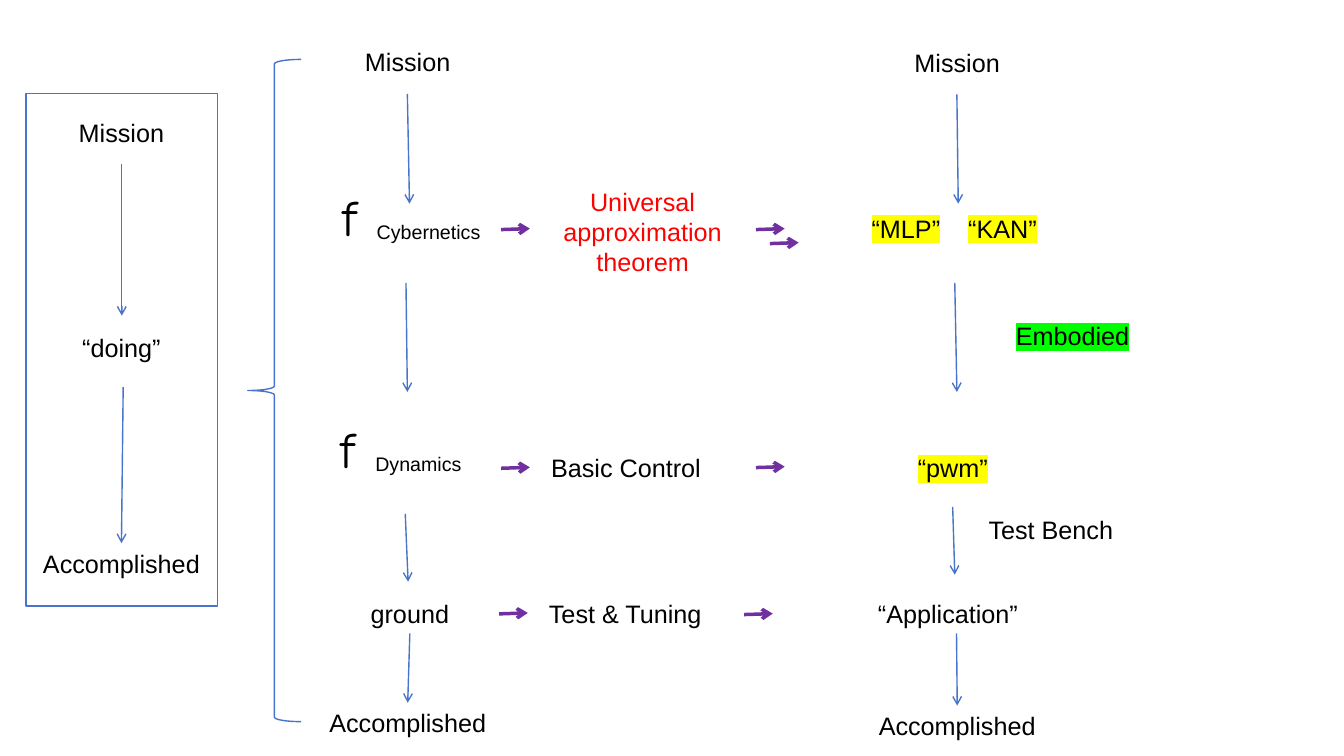
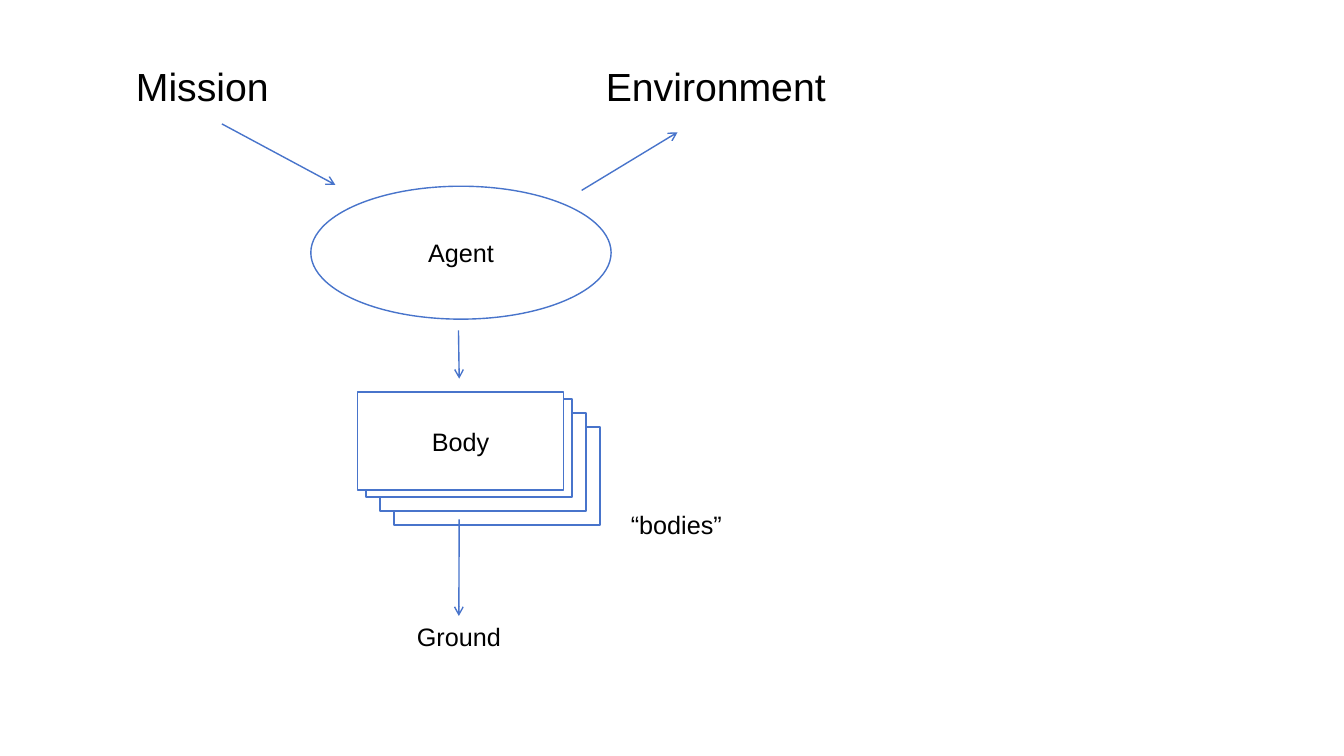
from dataclasses import dataclass

from pptx import Presentation
from pptx.dml.color import RGBColor
from pptx.enum.shapes import MSO_CONNECTOR as Connector, MSO_SHAPE as Shape
from pptx.enum.text import MSO_ANCHOR as Anchor, MSO_AUTO_SIZE as AutoSize, PP_ALIGN as Align
from pptx.oxml.ns import qn
from pptx.util import Pt
from lxml.etree import SubElement


@dataclass(frozen=True)
class Theme:
    ink: RGBColor = RGBColor(0, 0, 0)
    paper: RGBColor = RGBColor(255, 255, 255)
    blue: RGBColor = RGBColor.from_string("4874CB")
    purple: RGBColor = RGBColor.from_string("7030A0")
    red: RGBColor = RGBColor.from_string("FF0000")
    yellow: str = "FFFF00"
    green: str = "00FF00"
    font: str = "Arial"
    symbol_font: str = "Comic Neue"
    small: int = 14
    body: int = 18
    heading: int = 28
    symbol: int = 36
    thin: float = 1
    thick: float = 2.5


theme = Theme()


def add_box(page, place, text="", kind=None, fill=None, size=theme.body, align=Align.CENTER,
            color=theme.ink, highlight=None, font=theme.font):
    """Add an outlined shape of the given kind, or a plain text box without one."""
    left, top, width, height = map(Pt, place)
    if kind is None:
        box = page.shapes.add_textbox(left, top, width, height)
    else:
        box = page.shapes.add_shape(kind, left, top, width, height)
        box.shadow.inherit = False
        box.line.color.rgb = theme.blue
        box.line.width = Pt(theme.thin)
        if fill is None:
            box.fill.background()
        else:
            box.fill.solid()
            box.fill.fore_color.rgb = fill
    if not text:
        return box
    frame = box.text_frame
    frame.word_wrap = True
    if kind is not None or size == theme.symbol:
        frame.vertical_anchor = Anchor.MIDDLE
    else:
        frame.auto_size = AutoSize.SHAPE_TO_FIT_TEXT
    frame.text = text
    para = frame.paragraphs[0]
    para.alignment = align
    span = para.runs[0]
    span.font.size = Pt(size)
    span.font.name = font
    span.font.color.rgb = color
    if highlight:
        props = span.font._element
        mark = SubElement(props, qn("a:highlight"))
        SubElement(mark, qn("a:srgbClr")).set("val", highlight)
        props.find(qn("a:latin")).addprevious(mark)
    return box


def add_arrow(page, start, end, source=None, target=None, color=theme.blue, weight=theme.thin):
    """Add an arrow, joined to the bottom of source and the top of target if given."""
    arrow = page.shapes.add_connector(Connector.STRAIGHT, *map(Pt, (*start, *end)))
    arrow.line.color.rgb = color
    arrow.line.width = Pt(weight)
    SubElement(arrow.line._get_or_add_ln(), qn("a:tailEnd")).set("type", "arrow")
    SubElement(arrow._element.spPr, qn("a:effectLst"))
    if source is not None:
        arrow.begin_connect(source, 2)
    if target is not None:
        arrow.end_connect(target, 0)


deck = Presentation()
deck.slide_width, deck.slide_height = Pt(960), Pt(540)
blank = deck.slide_layouts[6]
line_height = 29

# Slide 1: from mission to accomplishment
page = deck.slides.add_slide(blank)
add_box(page, (18.5, 67, 137, 366), kind=Shape.RECTANGLE)
add_box(page, (177, 42.5, 38, 473), kind=Shape.LEFT_BRACE)

# Centred steps of the three columns
steps = {}
for name, text, left, top, width in [
    ("overview mission", "Mission", 33, 80, 107.5),
    ("overview doing", "“doing”", 33, 234, 107.5),
    ("overview end", "Accomplished", 6.5, 388, 160.5),
    ("theory mission", "Mission", 237.5, 29.5, 107.5),
    ("theory ground", "ground", 212.5, 423.5, 160.5),
    ("theory end", "Accomplished", 211, 502, 160.5),
    ("practice mission", "Mission", 630, 30, 107.5),
    ("practice end", "Accomplished", 603.5, 504, 160.5),
]:
    steps[name] = add_box(page, (left, top, width, line_height), text)

# Left-aligned labels
for text, left, top, width, highlight in [
    ("Basic Control", 386.5, 319.5, 137.5, None),
    ("Test & Tuning", 385, 423.5, 137.5, None),
    ("“MLP”", 615.5, 148.5, 70, theme.yellow),
    ("“KAN”", 684.5, 148.5, 70, theme.yellow),
    ("“pwm”", 648.5, 319.5, 70, theme.yellow),
    ("“Application”", 620, 423.5, 126.5, None),
    ("Embodied", 718.5, 225.5, 137.5, theme.green),
    ("Test Bench", 699, 363.5, 137.5, None),
]:
    steps[text] = add_box(page, (left, top, width, line_height), text,
                          align=Align.LEFT, highlight=highlight)

add_box(page, (389.5, 129.5, 139, 72.5), "Universal approximation theorem", color=theme.red)

# Functions: a large f with its name as a subscript
for text, left, top in [("Cybernetics", 237.5, 111), ("Dynamics", 236.5, 277)]:
    add_box(page, (left, top, 83.5, 86.5), "f", size=theme.symbol,
            align=Align.LEFT, font=theme.symbol_font)
    add_box(page, (left + 24.5, top + 42.5, 110, 24.5), text, size=theme.small, align=Align.LEFT)

# Downward arrows
for start, end, source, target in [
    ((87, 117.5), (87, 225.5), None, None),
    ((88, 276.5), (87, 388), None, "overview end"),
    ((291, 67), (292.5, 145.5), None, None),
    ((290, 202), (291, 280), None, None),
    ((289.5, 367), (291.5, 415.5), None, None),
    ((291.5, 453), (291.5, 502), "theory ground", "theory end"),
    ((683.5, 67.5), (684.5, 145.5), None, None),
    ((682, 202), (683.5, 280), None, None),
    ((680.5, 362), (682, 410.5), None, None),
    ((684, 454), (683.5, 504), "“Application”", "practice end"),
]:
    add_arrow(page, start, end, steps.get(source), steps.get(target))

# Short arrows between the columns
for left, top in [(358, 164), (358, 334.5), (356.5, 438.5),
                  (540, 164), (550, 174), (540, 334), (531.5, 439)]:
    add_arrow(page, (left, top), (left + 20.5, top - 0.7), color=theme.purple, weight=theme.thick)

# Slide 2: agent and bodies
page = deck.slides.add_slide(blank)
for text, left, width in [("Mission", 72, 145), ("Environment", 392.5, 237.5)]:
    add_box(page, (left, 41, width, 41), text, size=theme.heading)
add_box(page, (222, 133, 214.5, 95), "Agent", kind=Shape.OVAL)

# Stack of bodies, from back to front
body_width, body_height, stack_step = 147, 70, 10
for depth in (2, 1, 0):
    shift = depth * stack_step
    add_box(page, (261.5 + shift, 285 + shift, body_width, body_height),
            kind=Shape.RECTANGLE, fill=theme.paper)
add_box(page, (255.5, 280, body_width, body_height), "Body",
        kind=Shape.RECTANGLE, fill=theme.paper)
add_box(page, (443.5, 360.5, 319.5, line_height), "“bodies”", align=Align.LEFT)
ground = add_box(page, (168, 440, 319.5, line_height), "Ground")

# Arrows
for start, end, target in [
    ((158.5, 88.5), (239.5, 132), None),
    ((415.5, 136), (484, 94.5), None),
    ((327.5, 236), (328, 270.5), None),
    ((328, 371), (327.5, 440), ground),
]:
    add_arrow(page, start, end, target=target)

deck.save("out.pptx")
